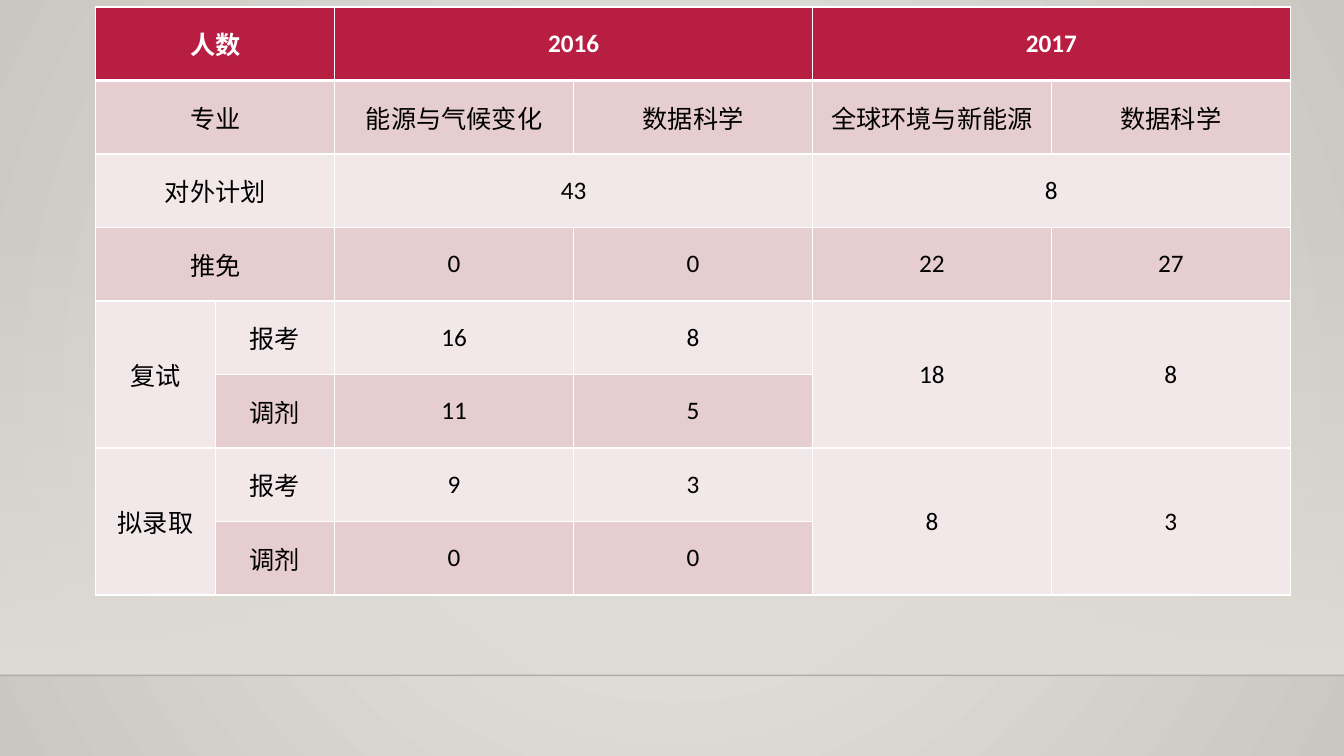
from pptx import Presentation
from pptx.dml.color import RGBColor
from pptx.enum import shapes, text
from pptx.oxml import parse_xml
from pptx.oxml.ns import nsdecls, qn
from pptx.util import Pt

# Content: "<" continues the cell to the left, "^" the cell above
ROWS = [
    ["人数", "<", "2016", "<", "2017", "<"],
    ["专业", "<", "能源与气候变化", "数据科学", "全球环境与新能源", "数据科学"],
    ["对外计划", "<", "43", "<", "8", "<"],
    ["推免", "<", "0", "0", "22", "27"],
    ["复试", "报考", "16", "8", "18", "8"],
    ["^", "调剂", "11", "5", "^", "^"],
    ["拟录取", "报考", "9", "3", "8", "3"],
    ["^", "调剂", "0", "0", "^", "^"],
]
COLUMN_UNITS = [1, 1, 2, 2, 2, 2]

# Layout in points
WIDTH, HEIGHT = 960, 540
TABLE_LEFT, TABLE_TOP = 68.4, 5
UNIT_WIDTH, ROW_HEIGHT = 85.33, 52.5
WALL_TOP, FLOOR_TOP = 159, 482.4

# Colours
HEADER, BANDS = "B71E42", ("F3E8E9", "E6CDCF")
WHITE, BLACK = "FFFFFF", "000000"
RADIAL = '<a:path path="circle"><a:fillToRect l="50000" t="50000" r="50000" b="50000"/></a:path>'
DOWNWARD = '<a:lin ang="5400000" scaled="0"/>'


def color(value):
    return RGBColor.from_string(value)


def set_gradient(properties, stops, direction):
    """Replace a solid fill by a gradient of (position, colour, opacity) stops."""
    marks = "".join(
        f'<a:gs pos="{position * 1000}"><a:srgbClr val="{value}">'
        f'<a:alpha val="{opacity * 1000}"/></a:srgbClr></a:gs>'
        for position, value, opacity in stops)
    gradient = parse_xml(f'<a:gradFill {nsdecls("a")} rotWithShape="1">'
                         f'<a:gsLst>{marks}</a:gsLst>{direction}</a:gradFill>')
    properties.replace(properties.find(qn("a:solidFill")), gradient)


def set_borders(cell, **widths):
    properties = cell._tc.get_or_add_tcPr()
    for side in "LRTB":
        width = Pt(widths.get(side, 1))
        properties.append(parse_xml(
            f'<a:ln{side} {nsdecls("a")} w="{width}"><a:solidFill>'
            f'<a:srgbClr val="{WHITE}"/></a:solidFill></a:ln{side}>'))


def write(cell, content, size=18, font="Calibri", ink=BLACK, bold=False):
    cell.vertical_anchor = text.MSO_ANCHOR.MIDDLE
    paragraph = cell.text_frame.paragraphs[0]
    paragraph.alignment = text.PP_ALIGN.CENTER
    run = paragraph.add_run()
    run.text = content
    run.font.size, run.font.name, run.font.bold = Pt(size), font, bold
    run.font.color.rgb = color(ink)


def count_marks(cells, mark):
    """Count how many of the leading cells hold the mark."""
    count = 0
    while count < len(cells) and cells[count] == mark:
        count += 1
    return count


presentation = Presentation()
presentation.slide_width, presentation.slide_height = Pt(WIDTH), Pt(HEIGHT)
slide = presentation.slides.add_slide(presentation.slide_layouts[6])

# Background
slide.background.fill.solid()
set_gradient(slide.element.xpath(".//p:bgPr")[0],
             [(0, "ECEAE7", 100), (100, "CAC7C1", 100)], RADIAL)

# Wall and floor edge
wall = slide.shapes.add_shape(shapes.MSO_SHAPE.RECTANGLE, 0, Pt(WALL_TOP),
                              Pt(WIDTH), Pt(FLOOR_TOP - WALL_TOP))
wall.shadow.inherit = False
wall.line.fill.background()
wall.fill.solid()
set_gradient(wall.element.spPr, [(0, "DFDBD5", 0), (100, "DFDBD5", 100)], DOWNWARD)

edge = slide.shapes.add_connector(shapes.MSO_CONNECTOR.STRAIGHT, 0, Pt(FLOOR_TOP),
                                  Pt(WIDTH), Pt(FLOOR_TOP))
edge.line.width = Pt(1)
edge.line.color.rgb = color("000001")
edge.element.xpath(".//a:ln//a:srgbClr")[0].append(
    parse_xml(f'<a:alpha {nsdecls("a")} val="20000"/>'))
edge.element.spPr.append(parse_xml(f'<a:effectLst {nsdecls("a")}/>'))

# Admissions table
table = slide.shapes.add_table(
    len(ROWS), len(COLUMN_UNITS), Pt(TABLE_LEFT), Pt(TABLE_TOP),
    Pt(UNIT_WIDTH * sum(COLUMN_UNITS)), Pt(ROW_HEIGHT * len(ROWS))).table
for column, units in zip(table.columns, COLUMN_UNITS):
    column.width = Pt(UNIT_WIDTH * units)

for r, row in enumerate(ROWS):
    table.rows[r].height = Pt(ROW_HEIGHT)
    is_header = r == 0
    for c, content in enumerate(row):
        cell = table.cell(r, c)
        set_borders(cell, T=3 if r == 1 else 1, B=3 if is_header else 1)
        cell.fill.solid()
        cell.fill.fore_color.rgb = color(HEADER if is_header else BANDS[r % 2])
        if content in ("<", "^"):
            continue
        write(cell, content, ink=WHITE if is_header else BLACK, bold=is_header)
        across = count_marks(row[c + 1:], "<")
        down = count_marks([below[c] for below in ROWS[r + 1:]], "^")
        if across or down:
            cell.merge(table.cell(r + down, c + across))

presentation.save("out.pptx")
